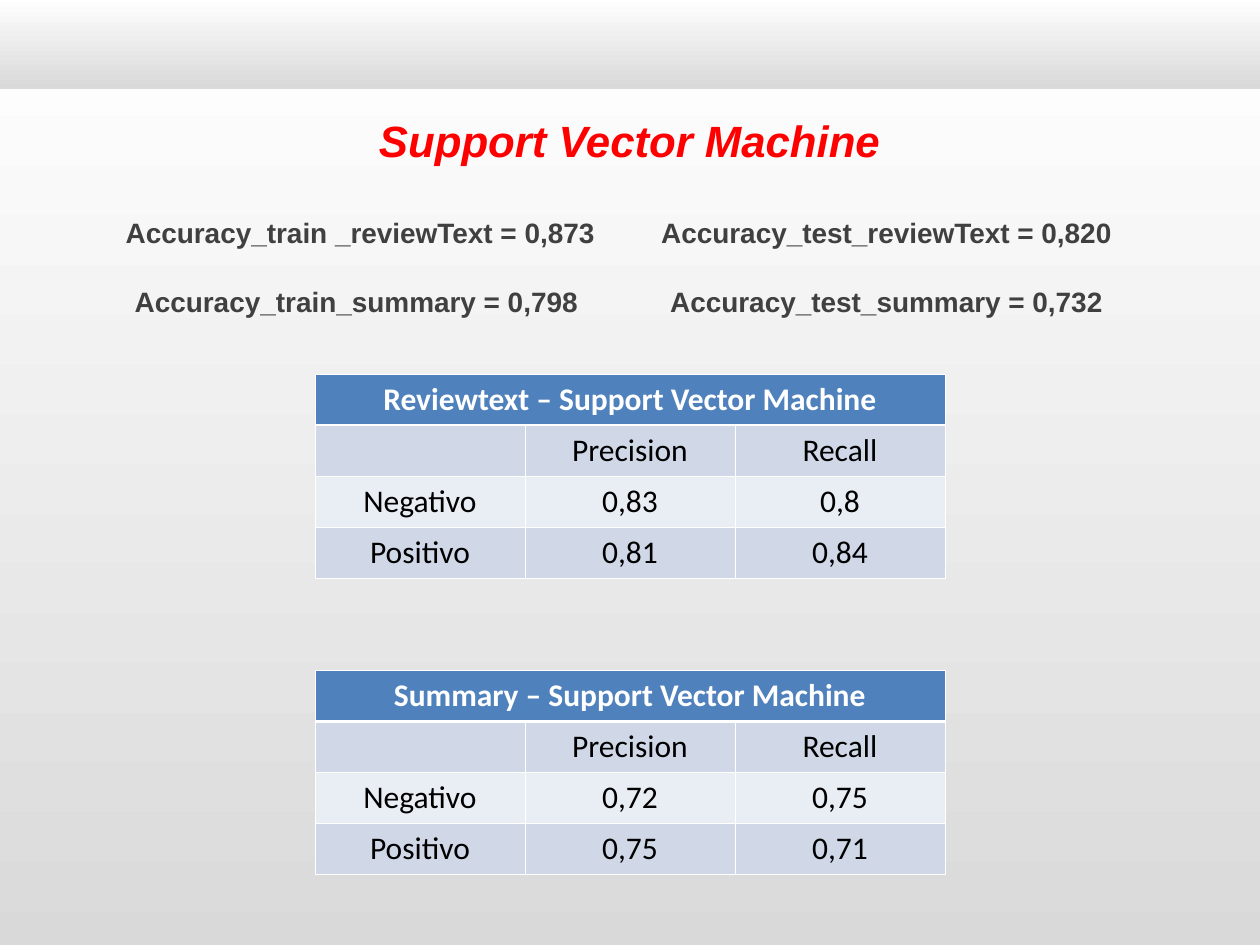
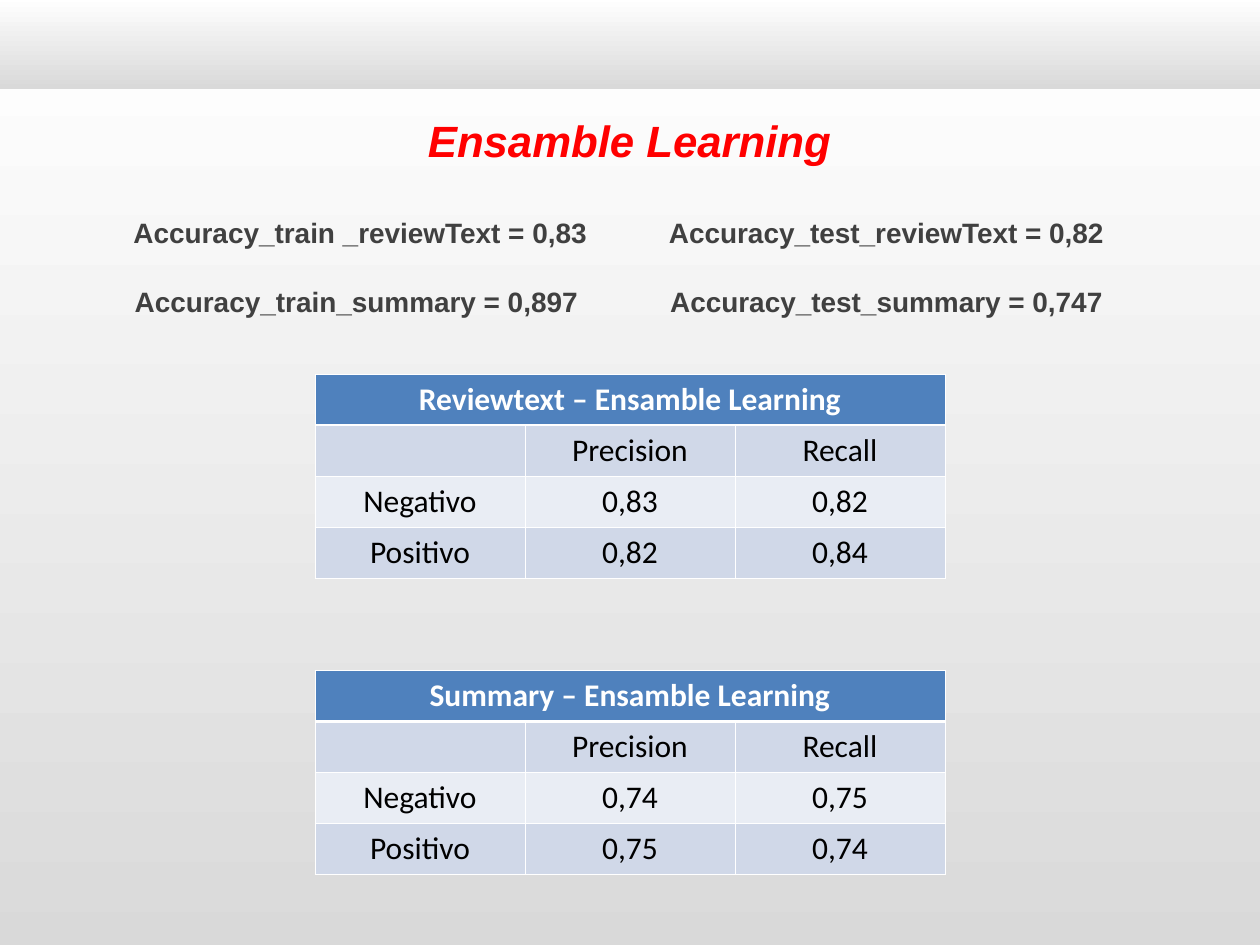
from lxml import etree
from pptx import Presentation
from pptx import util as u
from pptx.dml.color import RGBColor
from pptx.enum import shapes, text
from pptx.oxml import ns

WHITE, GREY, RED, DARK, BLACK = "FFFFFF", "D9D9D9", "FF0000", "404040", "000000"
HEADER, BAND, LIGHT = "4F81BD", "D0D8E8", "E9EDF4"
BACKDROP = [(0.13, 7.5), (-0.02, 0.73)]  # top, height
TITLE_FONT = dict(name="Arial", size=u.Pt(25), bold=True, italic=True)
ACCURACY_FONT = dict(name="Arial", size=u.Pt(16), bold=True)
CELL_FONT = dict(name="Calibri", size=u.Pt(18))

# Title, accuracies as (train, test) and scores for each table
MODELS = [
    ("Support Vector Machine",
     [("_reviewText", "0,873", "0,820"), ("summary", "0,798", "0,732")],
     [("Reviewtext", ("0,83", "0,8"), ("0,81", "0,84")),
      ("Summary", ("0,72", "0,75"), ("0,75", "0,71"))]),
    ("Ensamble Learning",
     [("_reviewText", "0,83", "0,82"), ("summary", "0,897", "0,747")],
     [("Reviewtext", ("0,83", "0,82"), ("0,82", "0,84")),
      ("Summary", ("0,74", "0,75"), ("0,75", "0,74"))]),
]


def rgb(value):
    return RGBColor.from_string(value)


def style(p, color, font):
    p.alignment = text.PP_ALIGN.CENTER
    for r in p.runs:
        for name, value in font.items():
            setattr(r.font, name, value)
        r.font.color.rgb = rgb(color)


prs = Presentation()
prs.slide_width, prs.slide_height = u.Inches(10), u.Inches(7.5)

for title, accuracies, tables in MODELS:
    s = prs.slides.add_slide(prs.slide_layouts[5])

    # Title
    sp = s.shapes.title
    sp.left, sp.top = u.Inches(1.45), u.Inches(0.85)
    sp.width, sp.height = u.Inches(7.09), u.Inches(0.52)
    tf = sp.text_frame
    tf.text = title
    tf.vertical_anchor = text.MSO_ANCHOR.TOP
    tf.auto_size = text.MSO_AUTO_SIZE.NONE
    style(tf.paragraphs[0], RED, TITLE_FONT)

    # Gradient background and top band, behind the title
    for top, height in BACKDROP:
        sp = s.shapes.add_shape(shapes.MSO_SHAPE.RECTANGLE, 0, u.Inches(top),
                                prs.slide_width, u.Inches(height))
        sp.shadow.inherit = False
        sp.line.fill.background()
        sp.fill.gradient()
        sp.fill.gradient_angle = 270
        for stop, color in zip(sp.fill.gradient_stops, (WHITE, GREY)):
            stop.color.rgb = rgb(color)
        s.shapes.title._element.addprevious(sp._element)

    # Precision and recall tables
    for i, (source, negative, positive) in enumerate(tables):
        rows = [(f"{source} – {title}", "", ""), ("", "Precision", "Recall"),
                ("Negativo", *negative), ("Positivo", *positive)]
        table = s.shapes.add_table(4, 3, u.Inches(2.5), u.Inches(2.97 + i * 2.35),
                                   u.Inches(5), u.Inches(1.62)).table
        table.cell(0, 0).merge(table.cell(0, 2))
        for row, values in enumerate(rows):
            for col, value in enumerate(values):
                cell = table.cell(row, col)
                tcPr = cell._tc.get_or_add_tcPr()
                for side in "LRTB":
                    thick = (row, side) in ((0, "B"), (1, "T"))
                    ln = etree.SubElement(tcPr, ns.qn(f"a:ln{side}"),
                                          w=str(u.Pt(1.47 if thick else 0.45)))
                    fill = etree.SubElement(ln, ns.qn("a:solidFill"))
                    etree.SubElement(fill, ns.qn("a:srgbClr"), val=WHITE)
                cell.fill.solid()
                cell.fill.fore_color.rgb = rgb((HEADER, BAND, LIGHT, BAND)[row])
                if value:
                    cell.text = value
                    style(cell.text_frame.paragraphs[0], BLACK if row else WHITE,
                          dict(CELL_FONT, bold=row == 0))

    # Train and test accuracies
    sp = s.shapes.add_textbox(u.Inches(-0.01), u.Inches(1.66),
                              u.Inches(9.84), u.Inches(1.17))
    tf = sp.text_frame
    tf.word_wrap = True
    for i, (source, train, test) in enumerate(accuracies):
        p = tf.add_paragraph() if i else tf.paragraphs[0]
        gap = " " if source.startswith("_") else "_"
        p.text = (f"Accuracy_train{gap}{source} = {train}\t\t"
                  f"Accuracy_test_{source.lstrip('_')} = {test}")
        if i:
            p.space_before = u.Pt(20.5)
        pPr = p._p.get_or_add_pPr()
        pPr.set("marL", str(u.Inches(0.25)))
        pPr.set("indent", str(u.Inches(-0.25)))
        tabs = etree.SubElement(pPr, ns.qn("a:tabLst"))
        for inch in range(8):
            etree.SubElement(tabs, ns.qn("a:tab"), pos=str(u.Inches(inch)), algn="l")
        style(p, DARK, ACCURACY_FONT)

prs.save("out.pptx")
